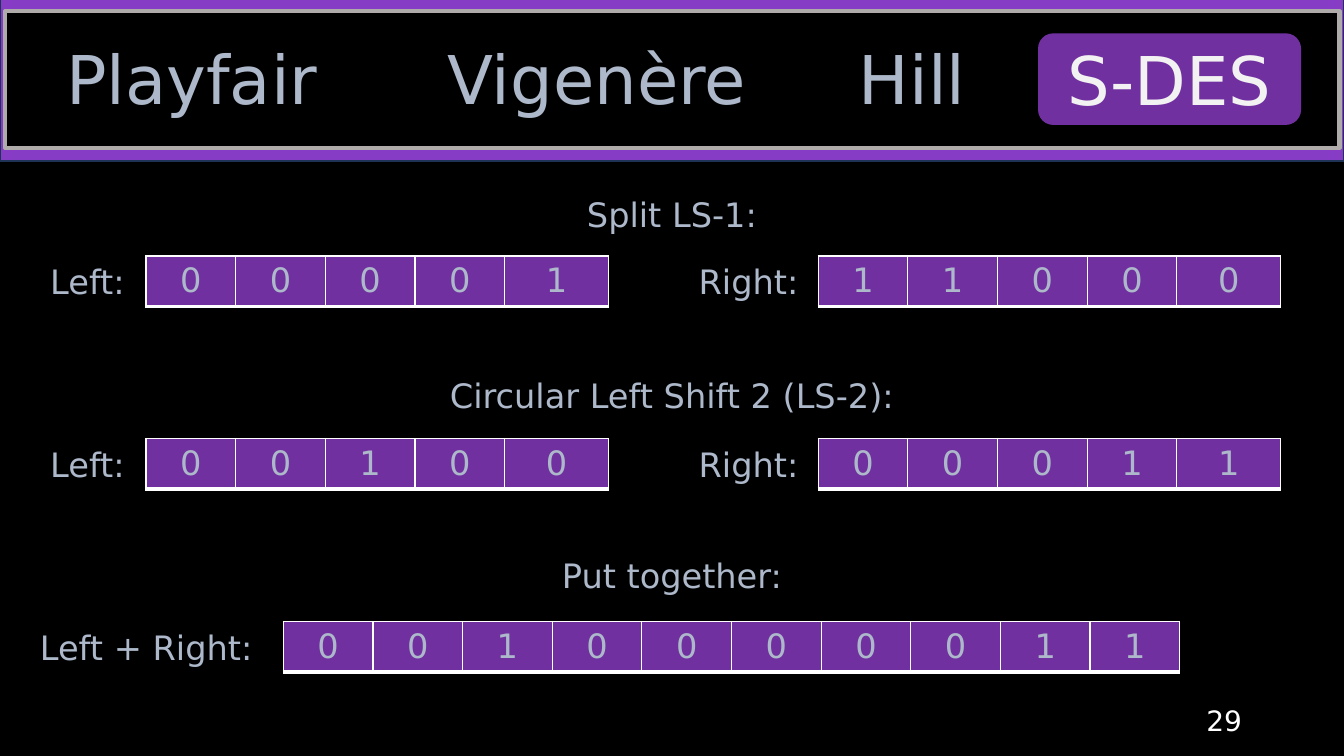
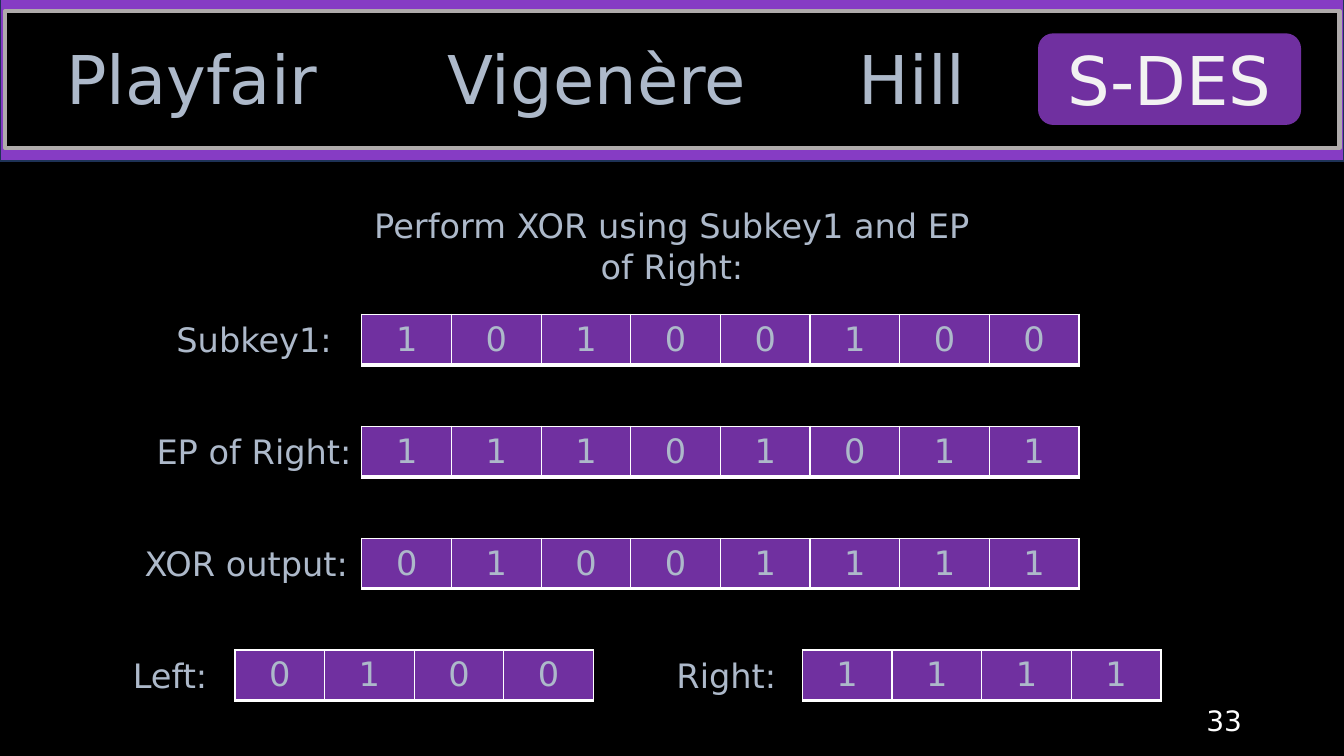
from lxml import etree
from pptx import Presentation
from pptx.dml.color import RGBColor
from pptx.enum.shapes import MSO_SHAPE
from pptx.enum.text import MSO_ANCHOR, MSO_AUTO_SIZE, PP_ALIGN
from pptx.oxml.ns import qn
from pptx.util import Cm, Pt

COLORS = {
    "background": "000000",
    "band": "863CC4",
    "band_line": "1E3256",
    "frame_line": "AFABAB",
    "accent": "7030A0",
    "text": "ADB9CA",
    "active": "F2F2F2",
    "white": "FFFFFF",
}
FONT = "DejaVu Sans"
SLIDE_W, SLIDE_H = 33.87, 19.05
BIT_W, WIDE_BIT_W, ROW_H = 2.26, 2.62, 1.27
BORDERS = {"lnL": 1, "lnR": 1, "lnT": 1, "lnB": 3}
TABS = [("Playfair", 0.61, 8.46), ("Vigenère", 10.29, 9.5), ("Hill", 21.01, 3.96)]


def rgb(name):
    return RGBColor.from_string(COLORS[name])


def write(tf, text, size=24, color="text", align=PP_ALIGN.CENTER):
    tf.text = text
    p = tf.paragraphs[0]
    p.alignment = align
    for r in p.runs:
        r.font.name = FONT
        r.font.size = Pt(size)
        r.font.color.rgb = rgb(color)


def add_text(s, text, x, y, w, h=ROW_H, **style):
    tb = s.shapes.add_textbox(Cm(x), Cm(y), Cm(w), Cm(h))
    tf = tb.text_frame
    tf.word_wrap = True
    tf.auto_size = MSO_AUTO_SIZE.SHAPE_TO_FIT_TEXT
    write(tf, text, **style)
    return tb


def add_heading(s, text, y, w, h=ROW_H):
    add_text(s, text, (SLIDE_W - w) / 2, y, w, h)


def add_box(s, kind, x, y, w, h, fill, line=None, line_width=1):
    sp = s.shapes.add_shape(kind, Cm(x), Cm(y), Cm(w), Cm(h))
    sp.shadow.inherit = False
    sp.fill.solid()
    sp.fill.fore_color.rgb = rgb(fill)
    if line:
        sp.line.color.rgb = rgb(line)
        sp.line.width = Pt(line_width)
    else:
        sp.line.fill.background()
    return sp


def set_borders(cell):
    tc_pr = cell._tc.get_or_add_tcPr()
    for tag, width in BORDERS.items():
        ln = etree.SubElement(tc_pr, qn(f"a:{tag}"), w=str(Pt(width)))
        fill = etree.SubElement(ln, qn("a:solidFill"))
        etree.SubElement(fill, qn("a:srgbClr"), val=COLORS["white"])


def add_bits(s, bits, x, y, last_w=BIT_W):
    widths = [BIT_W] * (len(bits) - 1) + [last_w]
    frame = s.shapes.add_table(1, len(bits), Cm(x), Cm(y), Cm(sum(widths)), Cm(ROW_H))
    table = frame.table
    table.first_row = table.horz_banding = False
    for i, (bit, width) in enumerate(zip(bits, widths)):
        table.columns[i].width = Cm(width)
        cell = table.cell(0, i)
        set_borders(cell)
        cell.fill.solid()
        cell.fill.fore_color.rgb = rgb("accent")
        cell.vertical_anchor = MSO_ANCHOR.MIDDLE
        write(cell.text_frame, bit)


def add_halves(s, left, right, y, label_xs, table_xs, last_w=BIT_W):
    labels = [("Left: ", 2.9), ("Right: ", 3.56)]
    for (label, w), bits, label_x, table_x in zip(labels, (left, right), label_xs, table_xs):
        add_text(s, label, label_x, y, w)
        add_bits(s, bits, table_x, y, last_w)


def add_slide(prs, number):
    s = prs.slides.add_slide(prs.slide_layouts[6])
    s.background.fill.solid()
    s.background.fill.fore_color.rgb = rgb("background")
    add_box(s, MSO_SHAPE.RECTANGLE, 0, -0.05, SLIDE_W, 4.11, "band", "band_line")
    add_box(s, MSO_SHAPE.RECTANGLE, 0.13, 0.28, 33.63, 3.45, "background", "frame_line", 3)
    for name, x, w in TABS:
        add_text(s, name, x, 0.81, w, 2.31, size=48)
    active = add_box(s, MSO_SHAPE.ROUNDED_RECTANGLE, 26.16, 0.84, 6.63, 2.31, "accent")
    write(active.text_frame, "S-DES", size=48, color="active")
    page = add_text(s, str(number), 23.93, 17.65, 7.62, 1.02,
                    size=20, color="white", align=PP_ALIGN.RIGHT)
    page.text_frame.auto_size = MSO_AUTO_SIZE.NONE
    page.text_frame.vertical_anchor = MSO_ANCHOR.MIDDLE
    return s


def add_shift_slide(prs):
    s = add_slide(prs, 29)
    steps = [
        ("Split LS-1:", 4.75, 7.87, "00001", "11000", 6.45),
        ("Circular Left Shift 2 (LS-2):", 9.32, 14.35, "00100", "00011", 11.05),
    ]
    for heading, heading_y, w, left, right, y in steps:
        add_heading(s, heading, heading_y, w)
        add_halves(s, left, right, y, (0.89, 17.22), (3.68, 20.62), WIDE_BIT_W)
    add_heading(s, "Put together:", 13.87, 7.87)
    add_text(s, "Left + Right:", 0, 15.67, 7.37)
    add_bits(s, "0010000011", 7.14, 15.67)


def add_xor_slide(prs):
    s = add_slide(prs, 33)
    add_heading(s, "Perform XOR using Subkey1 and EP of Right:", 5.05, 15.6, 2.31)
    top, step = 7.92, 2.82
    rows = [
        ("Subkey1:", 3.66, 5.49, PP_ALIGN.CENTER, "10100100"),
        ("EP of Right:", 1.24, 7.87, PP_ALIGN.RIGHT, "11101011"),
        ("XOR output:", 2.39, 6.63, PP_ALIGN.RIGHT, "01001111"),
    ]
    for i, (label, x, w, align, bits) in enumerate(rows):
        y = top + i * step
        add_text(s, label, x, y, w, align=align)
        add_bits(s, bits, 9.12, y)
    add_halves(s, "0100", "1111", top + len(rows) * step, (2.97, 16.66), (5.92, 20.22))


def main():
    prs = Presentation()
    prs.slide_width, prs.slide_height = Cm(SLIDE_W), Cm(SLIDE_H)
    add_shift_slide(prs)
    add_xor_slide(prs)
    prs.save("out.pptx")


if __name__ == "__main__":
    main()
